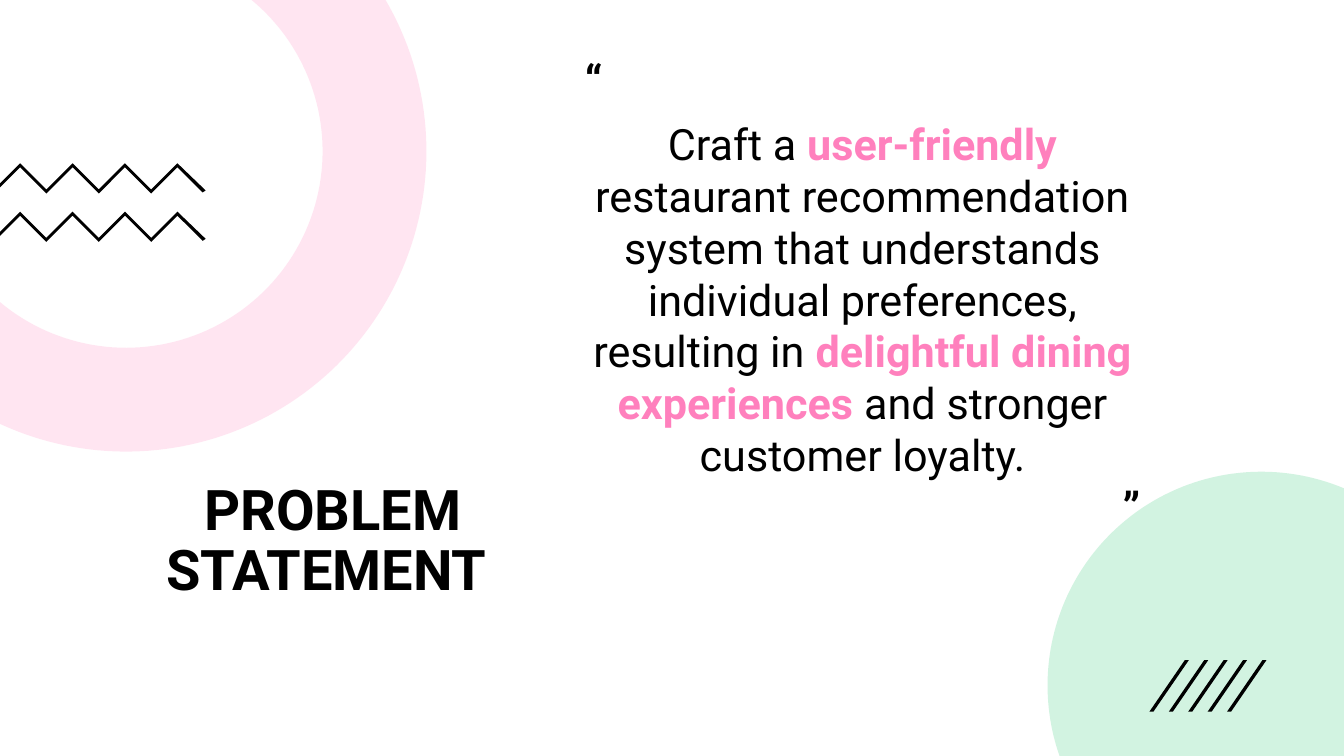
import math
from lxml import etree
from pptx import Presentation
from pptx import util as u
from pptx.dml.color import RGBColor
from pptx.enum import text as t
from pptx.oxml.ns import qn

WIDTH, HEIGHT = 13.33, 7.5
FONT = "Roboto"
BLACK, PINK, GREEN = "000000", "FF80BD", "21C46B"
TINT = 20

HEADING = "PROBLEM STATEMENT "
QUOTE = [
    (t.PP_ALIGN.LEFT, 0.7, 0, [("“", BLACK, True)]),
    (t.PP_ALIGN.CENTER, 1.0, 10, [
        ("Craft a ", BLACK, False),
        ("user-friendly", PINK, True),
        (" restaurant recommendation system that understands individual preferences, resulting in ", BLACK, False),
        ("delightful dining experiences", PINK, True),
        (" and stronger customer loyalty.", BLACK, False),
    ]),
    (t.PP_ALIGN.RIGHT, 0.7, 10, [("”", BLACK, True)]),
]
HEADING_AREA = (1.21, 3.62, 4.18, 3.52)
QUOTE_AREA = (5.7, 0.62, 5.71, 4.76)
RING = {"center": (1.25, 1.5), "outer": 2.98, "inner": 1.95}
DISC = {"center": (12.51, 6.8), "radius": 2.12}
ZIGZAG_TOPS = (1.62, 2.1)
TOOTH, THICKNESS = 0.26, 0.04
STRIPES, STRIPE_LEFT, STRIPE_LAST = 5, 11.4, 12.17
STRIPE_TOP, STRIPE_BOTTOM, SLANT = 6.55, 7.06, 0.35


def color(value):
    return RGBColor.from_string(value)


def arc(center, radius, start, end, steps=90):
    angles = [start + (end - start) * i / steps for i in range(steps + 1)]
    return [(center[0] + radius * math.cos(a), center[1] + radius * math.sin(a)) for a in angles]


def outline(shapes, points, fill, alpha=None):
    corners = [(u.Inches(x), u.Inches(y)) for x, y in points]
    builder = shapes.build_freeform(*corners[0])
    builder.add_line_segments(corners[1:], close=True)
    form = builder.convert_to_shape()
    form.shadow.inherit = False
    form.fill.solid()
    form.fill.fore_color.rgb = color(fill)
    form.line.fill.background()
    if alpha:
        tone = form.fill._xPr.find(qn("a:solidFill"))[0]
        etree.SubElement(tone, qn("a:alpha")).set("val", str(alpha * 1000))


def ring_points():
    x, y = RING["center"]
    outer, inner = [
        arc((x, y), r, math.asin(-y / r), math.acos(-x / r)) for r in (RING["outer"], RING["inner"])
    ]
    return outer + inner[::-1]


def disc_points():
    (x, y), r = DISC["center"], DISC["radius"]
    start = math.pi - math.asin((HEIGHT - y) / r)
    end = 2 * math.pi - math.acos((WIDTH - x) / r)
    return arc((x, y), r, start, end) + [(WIDTH, HEIGHT)]


def zigzag_points(top):
    teeth = [(0.2 + TOOTH * i, top + TOOTH * (i % 2)) for i in range(7)]
    lower = [(x, y + THICKNESS) for x, y in reversed(teeth)]
    tip = [(2.04, top + 0.27), (2.01, top + 0.29)]
    return [(0, top + 0.2)] + teeth + tip + lower + [(0, top + 0.24)]


def place(holder, area, anchor):
    holder.left, holder.top, holder.width, holder.height = map(u.Inches, area)
    frame = holder.text_frame
    settings = {"word_wrap": True, "auto_size": t.MSO_AUTO_SIZE.NONE, "vertical_anchor": anchor}
    for name, value in settings.items():
        setattr(frame, name, value)
    return frame


def write(paragraph, align, spacing, before, runs, size):
    props = paragraph._p.get_or_add_pPr()
    props.set("marL", "0")
    props.set("indent", "0")
    etree.SubElement(props, qn("a:buNone"))
    layout = {"alignment": align, "line_spacing": spacing, "space_before": u.Pt(before), "space_after": u.Pt(0)}
    for name, value in layout.items():
        setattr(paragraph, name, value)
    for words, tone, bold in runs:
        run = paragraph.add_run()
        run.text = words
        for name, value in {"name": FONT, "size": u.Pt(size), "bold": bold}.items():
            setattr(run.font, name, value)
        run.font.color.rgb = color(tone)


def main():
    deck = Presentation()
    deck.slide_width, deck.slide_height = u.Inches(WIDTH), u.Inches(HEIGHT)
    slide = deck.slides.add_slide(deck.slide_layouts[1])
    shapes = slide.shapes
    heading, quote = shapes.title, slide.placeholders[1]

    outline(shapes, ring_points(), PINK, TINT)
    for top in ZIGZAG_TOPS:
        outline(shapes, zigzag_points(top), BLACK)
    outline(shapes, disc_points(), GREEN, TINT)

    for holder in (heading, quote):
        shapes._spTree.append(holder._element)
    frame = place(heading, HEADING_AREA, t.MSO_ANCHOR.MIDDLE)
    write(frame.paragraphs[0], t.PP_ALIGN.CENTER, 0.9, 0, [(HEADING, BLACK, True)], 40)
    frame = place(quote, QUOTE_AREA, t.MSO_ANCHOR.TOP)
    for i, (align, spacing, before, runs) in enumerate(QUOTE):
        paragraph = frame.add_paragraph() if i else frame.paragraphs[0]
        write(paragraph, align, spacing, before, runs, 30.8)

    stripes = shapes.add_group_shape().shapes
    step = (STRIPE_LAST - STRIPE_LEFT) / (STRIPES - 1)
    for i in range(STRIPES):
        x = STRIPE_LEFT + step * i
        outline(stripes, [
            (x + THICKNESS, STRIPE_BOTTOM), (x, STRIPE_BOTTOM),
            (x + SLANT, STRIPE_TOP), (x + SLANT + THICKNESS, STRIPE_TOP),
        ], BLACK)

    deck.save("out.pptx")


if __name__ == "__main__":
    main()
